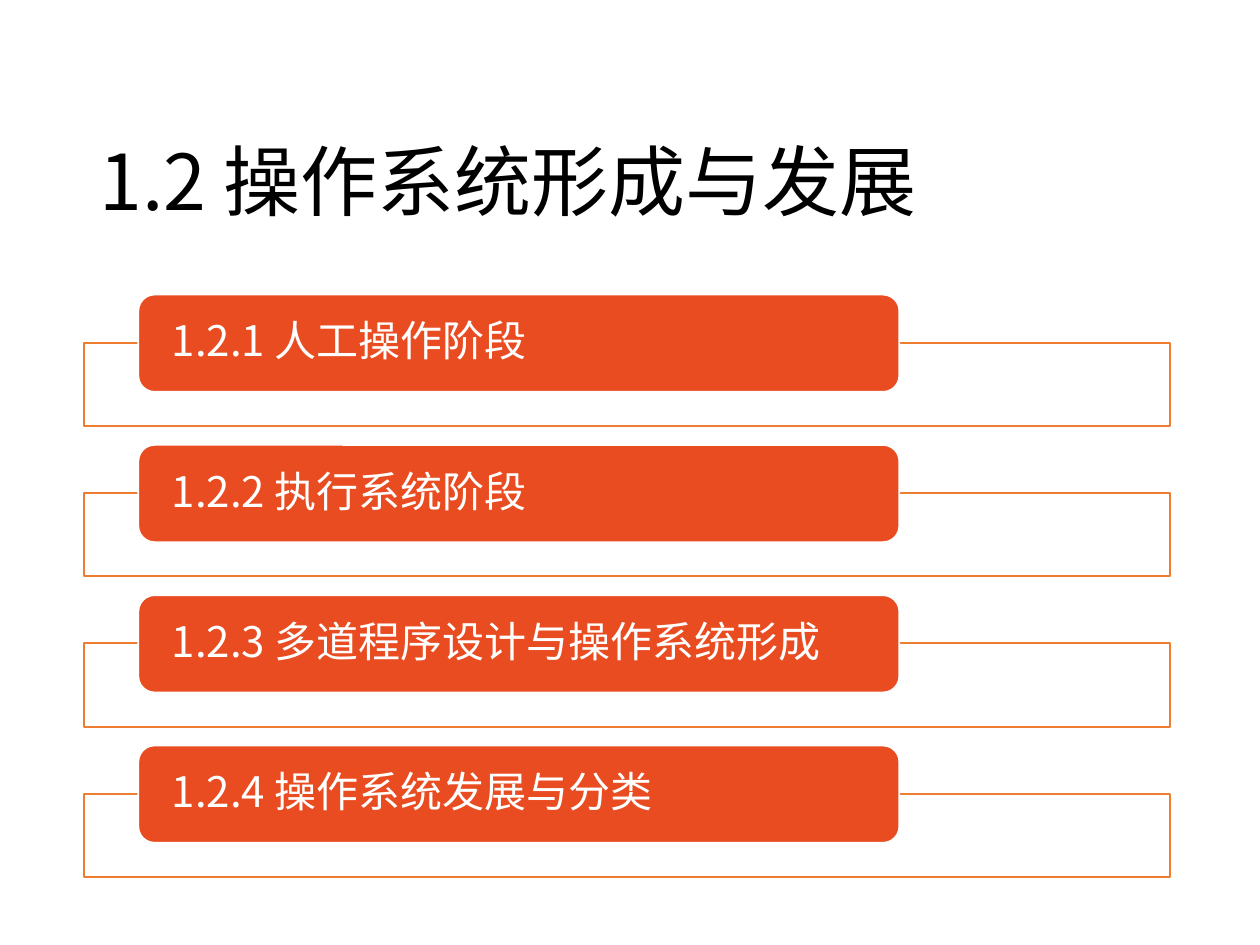
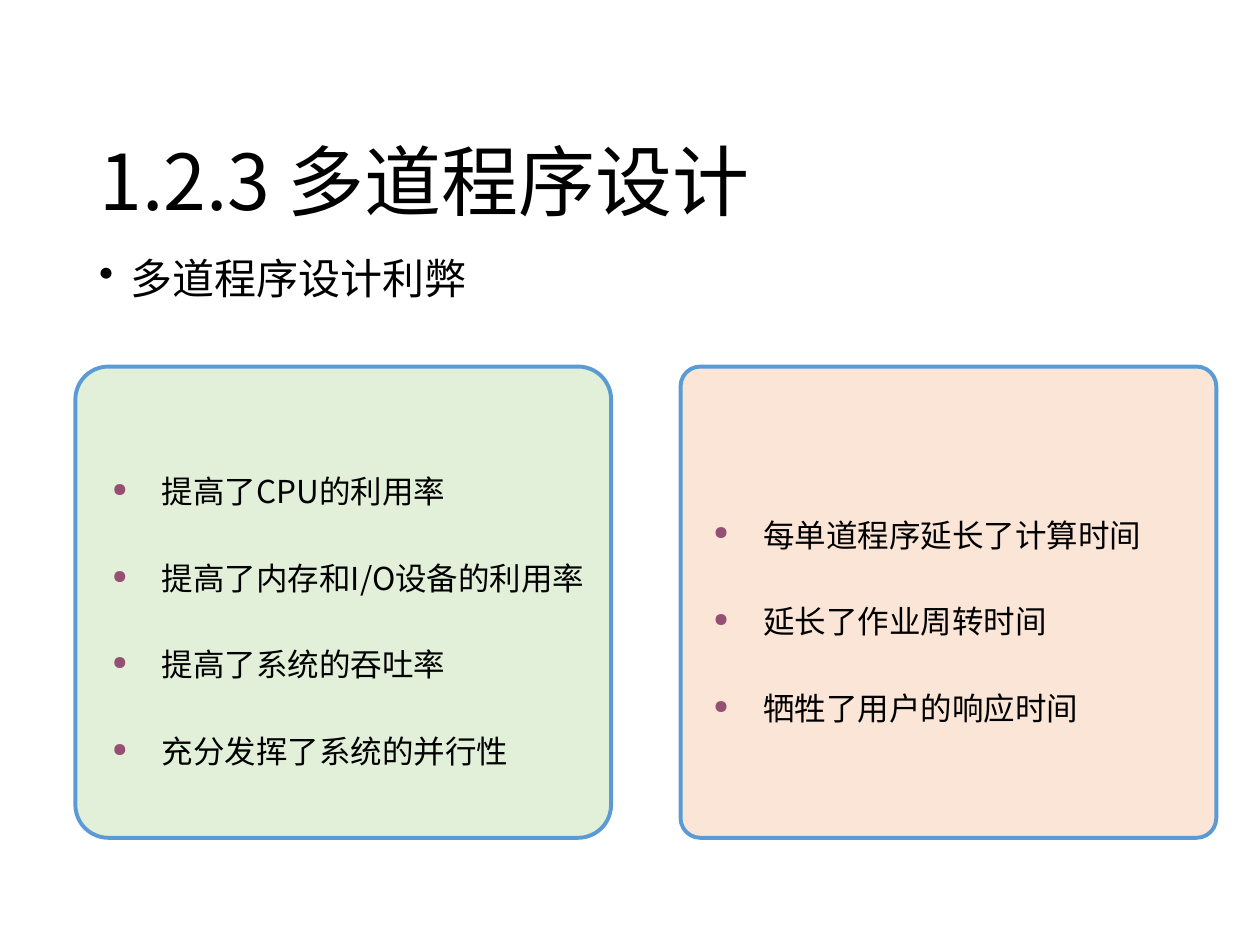
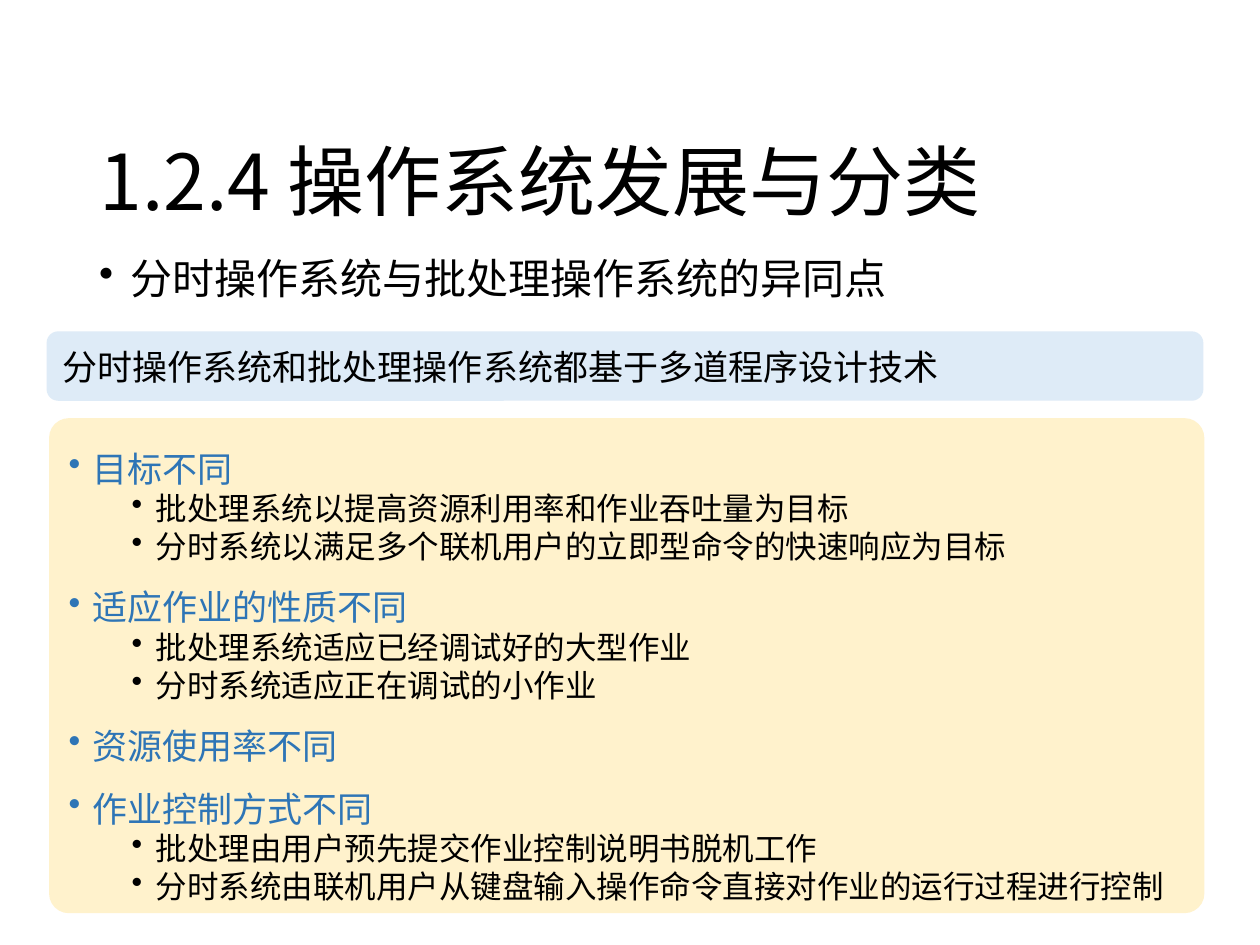
from lxml.etree import SubElement
from pptx import Presentation
from pptx.dml.color import RGBColor
from pptx.enum.shapes import MSO_SHAPE
from pptx.enum.text import MSO_ANCHOR, MSO_AUTO_SIZE, PP_ALIGN
from pptx.oxml.ns import qn
from pptx.util import Cm, Pt

FONT = "Noto Sans CJK SC"
BLACK = RGBColor(0x00, 0x00, 0x00)
WHITE = RGBColor(0xFF, 0xFF, 0xFF)
RED = RGBColor(0xE9, 0x4C, 0x21)
ORANGE = RGBColor(0xED, 0x7D, 0x31)
BLUE = RGBColor(0x5B, 0x9B, 0xD5)
NAVY = RGBColor(0x2E, 0x75, 0xB6)
PLUM = RGBColor(0x95, 0x4F, 0x72)
GREEN = RGBColor(0xE2, 0xF0, 0xD9)
PEACH = RGBColor(0xFB, 0xE5, 0xD6)
PALE = RGBColor(0xDE, 0xEB, 0xF7)
CREAM = RGBColor(0xFF, 0xF2, 0xCC)

TOPICS = ["1.2.1 人工操作阶段", "1.2.2 执行系统阶段",
          "1.2.3 多道程序设计与操作系统形成", "1.2.4 操作系统发展与分类"]
GAINS = ["提高了CPU的利用率", "提高了内存和I/O设备的利用率",
         "提高了系统的吞吐率", "充分发挥了系统的并行性"]
COSTS = ["每单道程序延长了计算时间", "延长了作业周转时间", "牺牲了用户的响应时间"]
POINTS = [
    ("目标不同", ["批处理系统以提高资源利用率和作业吞吐量为目标",
              "分时系统以满足多个联机用户的立即型命令的快速响应为目标"]),
    ("适应作业的性质不同", ["批处理系统适应已经调试好的大型作业",
                   "分时系统适应正在调试的小作业"]),
    ("资源使用率不同", []),
    ("作业控制方式不同", ["批处理由用户预先提交作业控制说明书脱机工作",
                  "分时系统由联机用户从键盘输入操作命令直接对作业的运行过程进行控制"]),
]


# Text helpers
def style(para, size, color=BLACK, lines=1.0, after=0):
    para.alignment = PP_ALIGN.LEFT
    para.line_spacing = lines
    para.space_before = Pt(0)
    para.space_after = Pt(after)
    for run in para.runs:
        run.font.size = Pt(size)
        run.font.color.rgb = color
        run.font.name = FONT
        SubElement(run._r.get_or_add_rPr(), qn("a:ea"), typeface=FONT)


def bullet(para, left, hang, mark="•", color=None, scale=None):
    props = para._p.get_or_add_pPr()
    props.set("marL", str(Cm(left)))
    props.set("indent", str(-Cm(hang)))
    if color is not None:
        tint = SubElement(props, qn("a:buClr"))
        SubElement(tint, qn("a:srgbClr"), val=str(color))
    if scale is not None:
        SubElement(props, qn("a:buSzPct"), val=str(scale * 1000))
    SubElement(props, qn("a:buChar"), char=mark)


def fill_lines(frame, lines):
    """Write the lines and return their paragraphs."""
    frame.text = "\n".join(lines)
    return frame.paragraphs


# Shape helpers
def block(slide, kind, box, fill, line=None, width=1, adj=None):
    shape = slide.shapes.add_shape(kind, *map(Cm, box))
    shape.shadow.inherit = False
    shape.fill.solid()
    shape.fill.fore_color.rgb = fill
    if line is None:
        shape.line.fill.background()
    else:
        shape.line.color.rgb = line
        shape.line.width = Pt(width)
    if adj is not None:
        shape.adjustments[0] = adj
    frame = shape.text_frame
    frame.word_wrap = True
    frame.vertical_anchor = MSO_ANCHOR.MIDDLE
    return shape


def start(deck, text):
    """Add a slide with the shared title style."""
    slide = deck.slides.add_slide(deck.slide_layouts[5])
    title = slide.shapes.title
    title.left, title.top = Cm(1.75), Cm(1.02)
    title.width, title.height = Cm(21.89), Cm(3.68)
    frame = title.text_frame
    frame.text = text
    frame.auto_size = MSO_AUTO_SIZE.NONE
    frame.vertical_anchor = MSO_ANCHOR.BOTTOM
    style(frame.paragraphs[0], 44, lines=0.9)
    return slide


def lead(slide, text, height):
    """Bulleted line below the title."""
    box = slide.shapes.add_textbox(Cm(1.75), Cm(5.08), Cm(21.89), Cm(height))
    frame = box.text_frame
    frame.word_wrap = True
    frame.text = text
    para = frame.paragraphs[0]
    bullet(para, 0.64, 0.64)
    style(para, 24, lines=0.9)


# Regions
def topic(slide, text, left, top):
    """Outlined frame with a red tab on its upper edge."""
    frame = block(slide, MSO_SHAPE.RECTANGLE, (left, top + 0.97, 21.89, 1.68),
                  WHITE, ORANGE)
    tone = frame.fill._xPr.find(".//" + qn("a:srgbClr"))
    SubElement(tone, qn("a:alpha"), val="90000")
    tab = block(slide, MSO_SHAPE.ROUNDED_RECTANGLE,
                (left + 1.09, top, 15.34, 1.96), RED, WHITE)
    body = tab.text_frame
    body.margin_left = body.margin_right = Cm(0.58)
    body.margin_top = body.margin_bottom = 0
    body.text = text
    style(body.paragraphs[0], 24, WHITE, 0.9, 8.4)


def card(slide, box, lines, fill, adj, wrap):
    """Rounded card with widely spaced bullets."""
    body = block(slide, MSO_SHAPE.ROUNDED_RECTANGLE, box, fill, BLUE,
                 2.25, adj).text_frame
    body.margin_left = body.margin_right = Cm(0.05)
    body.word_wrap = wrap
    for para in fill_lines(body, lines):
        bullet(para, 1.5, 1, "●", PLUM, 60)
        style(para, 18, lines=2.0, after=6.3)


def band(slide, box, text):
    body = block(slide, MSO_SHAPE.ROUNDED_RECTANGLE, box, PALE).text_frame
    body.text = text
    style(body.paragraphs[0], 20)


def panel(slide, box, points):
    """Two-level list of differences."""
    body = block(slide, MSO_SHAPE.ROUNDED_RECTANGLE, box, CREAM,
                 adj=0.04).text_frame
    heads = [head for head, _ in points]
    lines = [line for head, subs in points for line in [head, *subs]]
    for para in fill_lines(body, lines):
        if para.text in heads:
            bullet(para, 0.51, 0.48)
            style(para, 20, NAVY, 1.5)
        else:
            bullet(para, 1.78, 0.48)
            style(para, 18)


# Slides
def stages(deck):
    slide = start(deck, "1.2 操作系统形成与发展")
    for row, text in enumerate(TOPICS):
        topic(slide, text, 1.7, 5.94 + row * 3.03)


def merits(deck):
    slide = start(deck, "1.2.3 多道程序设计")
    lead(slide, "多道程序设计利弊", 1.88)
    card(slide, (1.52, 7.39, 10.8, 9.5), GAINS, GREEN, 0.07, False)
    card(slide, (13.72, 7.39, 10.8, 9.5), COSTS, PEACH, 0.042, True)


def contrast(deck):
    slide = start(deck, "1.2.4 操作系统发展与分类")
    lead(slide, "分时操作系统与批处理操作系统的异同点", 1.45)
    band(slide, (0.94, 6.68, 23.32, 1.4),
         "分时操作系统和批处理操作系统都基于多道程序设计技术")
    panel(slide, (0.99, 8.43, 23.29, 9.98), POINTS)


def main():
    deck = Presentation()
    deck.slide_width, deck.slide_height = Cm(25.4), Cm(19.05)
    stages(deck)
    merits(deck)
    contrast(deck)
    deck.save("out.pptx")


if __name__ == "__main__":
    main()
